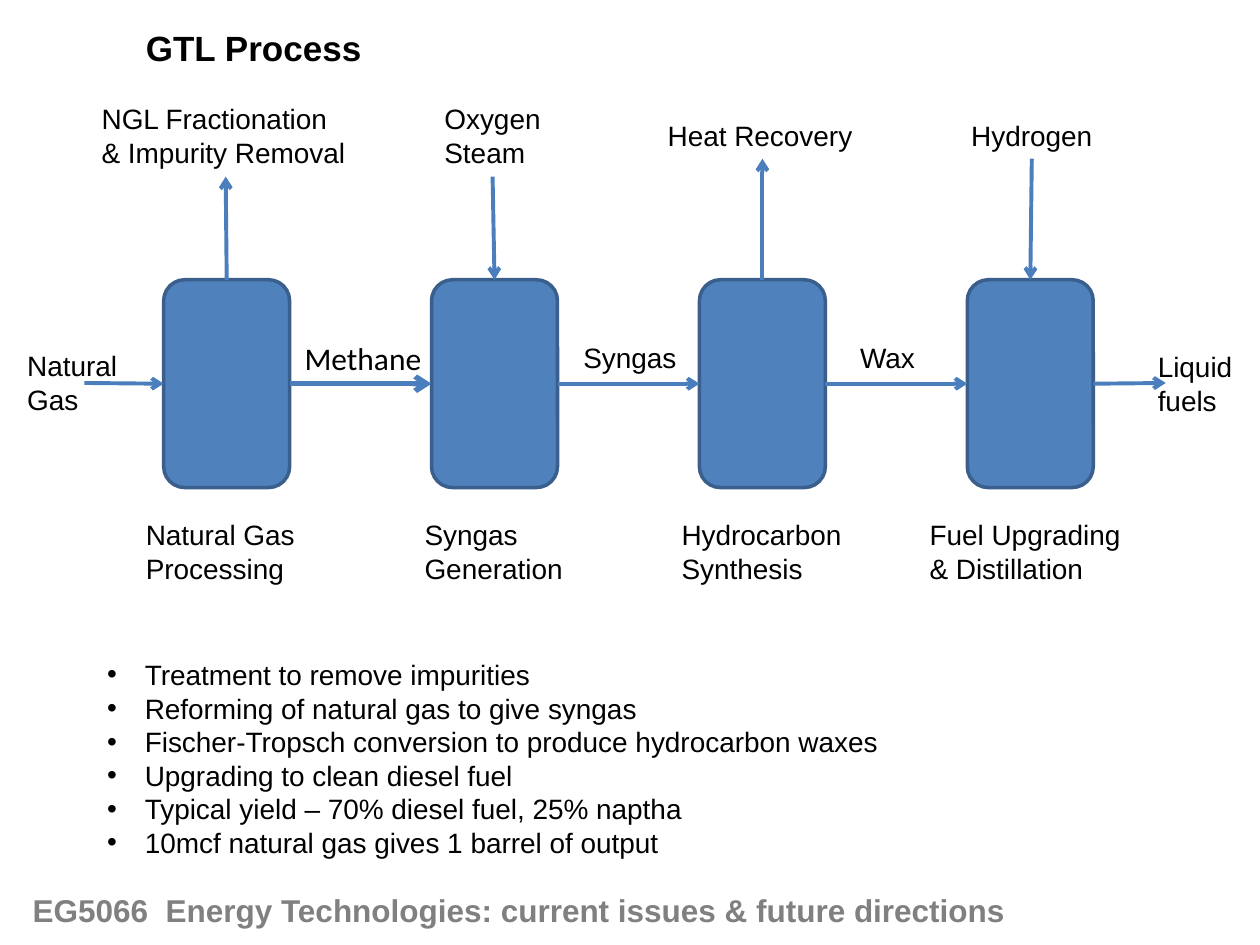
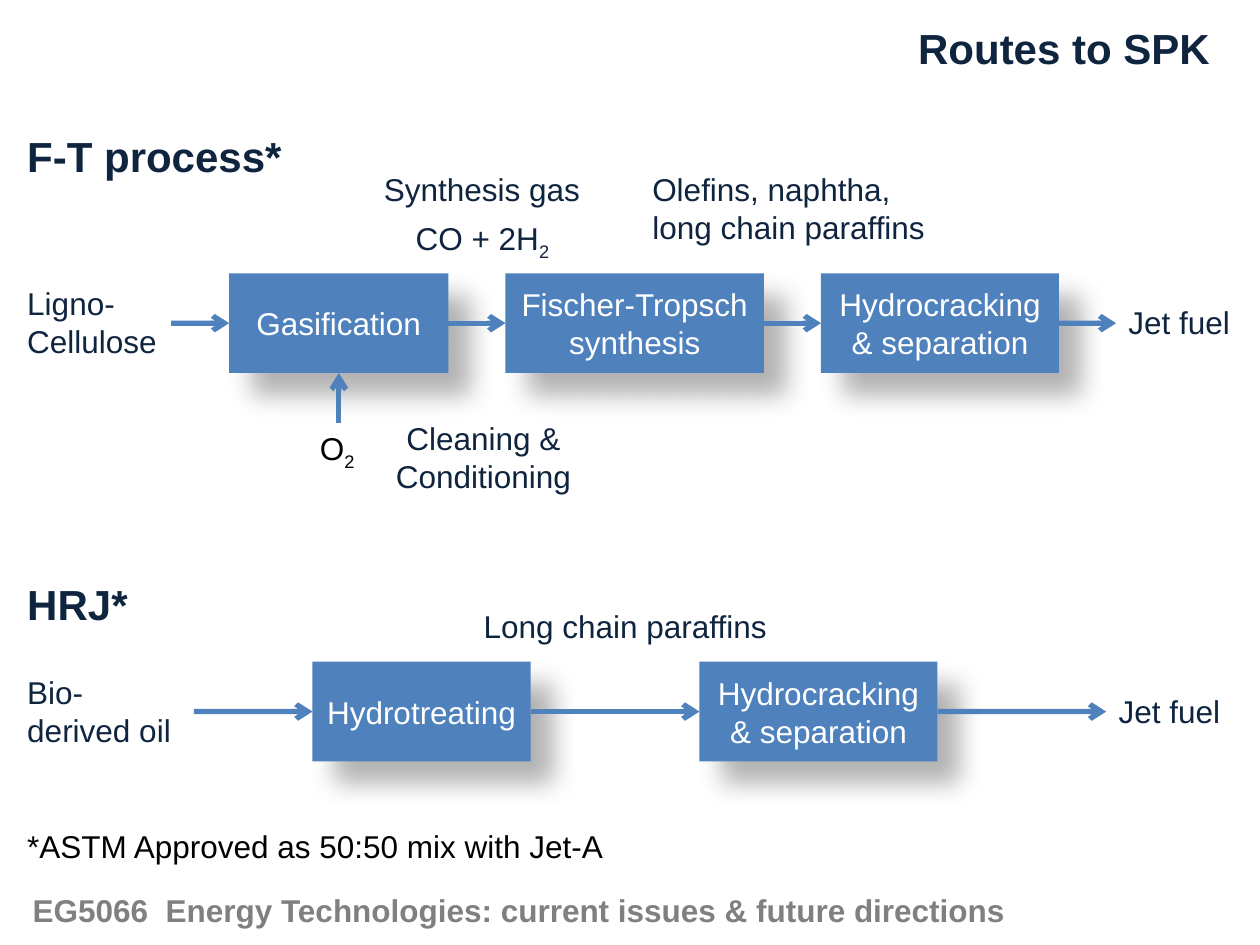
from dataclasses import dataclass
from lxml.etree import SubElement
from pptx import Presentation
from pptx.dml.color import RGBColor
from pptx.enum.shapes import MSO_CONNECTOR, MSO_SHAPE
from pptx.enum.text import MSO_ANCHOR, MSO_AUTO_SIZE, PP_ALIGN
from pptx.oxml.ns import qn
from pptx.util import Cm, Pt


@dataclass(frozen=True)
class Theme:
    # Colours
    black: str = "000000"
    navy: str = "0F243E"
    grey: str = "808080"
    white: str = "FFFFFF"
    blue: str = "4F81BD"
    edge: str = "3A5F8C"
    link: str = "4B7EBC"
    # Type
    font: str = "Arial"
    alt: str = "Calibri"
    small: int = 16
    body: int = 18
    title: int = 20
    head: int = 24


T = Theme()
TOP, LEFT, BOTTOM, RIGHT = range(4)


# Text
def write(para, text, size, color, bold=False, font=T.font):
    """Add text run by run; the parts after an underscore are subscripts."""
    for i, part in enumerate(text.split("_")):
        run = para.add_run()
        run.text = part
        run.font.size = Pt(size)
        run.font.name = font
        run.font.bold = bold
        run.font.color.rgb = RGBColor.from_string(color)
        if i % 2:
            run._r.get_or_add_rPr().set("baseline", "-25000")


def bullet(para):
    props = para._p.get_or_add_pPr()
    props.set("marL", str(Cm(0.76)))
    props.set("indent", str(-Cm(0.76)))
    SubElement(props, qn("a:buFont")).set("typeface", T.font)
    SubElement(props, qn("a:buChar")).set("char", "•")


def label(slide, x, y, wide, lines, size=T.body, color=T.navy, bold=False,
          font=T.font, wrap=0, align=PP_ALIGN.LEFT, dots=False):
    """Place a text box; wrap is the line count of a box that wraps."""
    rows = wrap or len(lines)
    high = rows * size * 0.0423 + 0.25
    box = slide.shapes.add_textbox(Cm(x), Cm(y), Cm(wide), Cm(high))
    frame = box.text_frame
    frame.word_wrap = bool(wrap)
    frame.auto_size = MSO_AUTO_SIZE.SHAPE_TO_FIT_TEXT
    for i, line in enumerate(lines):
        para = frame.add_paragraph() if i else frame.paragraphs[0]
        para.alignment = align
        if dots:
            bullet(para)
        write(para, line, size, color, bold, font)


def footer(slide):
    label(slide, 0.41, 17.83, 21.82,
          ["EG5066  Energy Technologies: current issues & future directions"],
          color=T.grey, bold=True, wrap=1)


# Shapes
def block(slide, kind, x, y, wide, high):
    shape = slide.shapes.add_shape(kind, Cm(x), Cm(y), Cm(wide), Cm(high))
    shape.shadow.inherit = False
    shape.fill.solid()
    shape.fill.fore_color.rgb = RGBColor.from_string(T.blue)
    return shape


def vessel(slide, x):
    shape = block(slide, MSO_SHAPE.ROUNDED_RECTANGLE, x, 5.64, 2.54, 4.19)
    shape.line.color.rgb = RGBColor.from_string(T.edge)
    shape.line.width = Pt(2)
    return shape


def step(slide, x, y, wide, text):
    shape = block(slide, MSO_SHAPE.RECTANGLE, x, y, wide, 2.01)
    shape.line.fill.background()
    # Soft shadow to the lower right
    glow = SubElement(shape._element.spPr.find(qn("a:effectLst")),
                      qn("a:outerShdw"), blurRad=str(Pt(15)),
                      dist=str(Pt(18)), dir="2700000", algn="ctr",
                      rotWithShape="0")
    tint = SubElement(glow, qn("a:srgbClr"), val=T.black)
    SubElement(tint, qn("a:alpha"), val="30000")
    frame = shape.text_frame
    frame.word_wrap = True
    frame.vertical_anchor = MSO_ANCHOR.MIDDLE
    frame.paragraphs[0].alignment = PP_ALIGN.CENTER
    write(frame.paragraphs[0], text, T.body, T.white)
    return shape


def arrow(slide, start, end, color=T.blue, width=3):
    """Draw an arrow; each end is a point (x, y) or a joint (shape, side)."""
    line = slide.shapes.add_connector(MSO_CONNECTOR.STRAIGHT, 0, 0, 0, 0)
    if isinstance(start[0], (int, float)):
        line.begin_x, line.begin_y = map(Cm, start)
    else:
        line.begin_connect(*start)
    if isinstance(end[0], (int, float)):
        line.end_x, line.end_y = map(Cm, end)
    else:
        line.end_connect(*end)
    line.line.color.rgb = RGBColor.from_string(color)
    line.line.width = Pt(width)
    SubElement(line.line._get_or_add_ln(), qn("a:tailEnd"), type="arrow")
    SubElement(line._element.spPr, qn("a:effectLst"))


def chain(slide, start, x, y, gap, steps):
    """Lay out steps at equal gaps, with arrows in, between and out."""
    mid = y + 1.005
    shapes, last = [], (start, mid)
    for wide, text in steps:
        shape = step(slide, x, y, wide, text)
        arrow(slide, last, (shape, LEFT))
        shapes.append(shape)
        last = (shape, RIGHT)
        x += wide + gap
    arrow(slide, last, (x, mid))
    return shapes


# Slides
def gtl(slide):
    label(slide, 2.69, 0.41, 4.9, ["GTL Process"], T.title, T.black, True)
    footer(slide)

    # Captions: left, top, width, lines
    notes = [
        (2.69, 10.31, 3.56, ["Natural Gas", "Processing"]),
        (8.31, 10.31, 3.33, ["Syngas", "Generation"]),
        (13.49, 10.31, 3.78, ["Hydrocarbon", "Synthesis"]),
        (18.49, 10.31, 4.39, ["Fuel Upgrading", "& Distillation"]),
        (0.3, 6.91, 2.34, ["Natural", "Gas"]),
        (11.51, 6.73, 2.41, ["Syngas"]),
        (17.09, 6.73, 1.63, ["Wax"]),
        (23.09, 6.93, 2.03, ["Liquid", "fuels"]),
        (19.33, 2.26, 2.97, ["Hydrogen"]),
        (13.21, 2.26, 4.29, ["Heat Recovery"]),
        (8.71, 1.93, 2.49, ["Oxygen", "Steam"]),
        (1.8, 1.93, 5.49, ["NGL Fractionation", "& Impurity Removal"]),
    ]
    for note in notes:
        label(slide, *note, T.small, T.black)
    label(slide, 5.89, 6.71, 2.9, ["Methane"], color=T.black, font=T.alt)

    # Vessels and the main flow
    tanks = [vessel(slide, 3.3 + 5.4 * i) for i in range(4)]
    for i, (a, b) in enumerate(zip(tanks, tanks[1:])):
        arrow(slide, (a, RIGHT), (b, LEFT), T.link, 2.25 if i else 3)
    arrow(slide, (tanks[3], RIGHT), (23.5, 7.72), T.link, 2.25)
    arrow(slide, (1.7, 7.72), (tanks[0], LEFT), T.link, 2.25)

    # Side streams: outer end, and whether it leaves the vessel
    sides = [(4.55, 3.56, True), (9.93, 3.56, False),
             (15.37, 3.2, True), (20.8, 3.2, False)]
    for tank, (x, y, out) in zip(tanks, sides):
        ends = [(tank, TOP), (x, y)]
        arrow(slide, *(ends if out else ends[::-1]), T.link, 2.25)

    label(slide, 1.91, 13.13, 16.18, [
        "Treatment to remove impurities",
        "Reforming of natural gas to give syngas",
        "Fischer-Tropsch conversion to produce hydrocarbon waxes",
        "Upgrading to clean diesel fuel",
        "Typical yield – 70% diesel fuel, 25% naptha",
        "10mcf natural gas gives 1 barrel of output",
    ], T.small, T.black, dots=True)


def routes(slide):
    # Title and route names
    for x, y, wide, text in [(18.26, 0.33, 6.45, "Routes to SPK"),
                             (0.3, 2.51, 5.69, "F-T process*"),
                             (0.3, 11.53, 2.57, "HRJ*")]:
        label(slide, x, y, wide, [text], T.head, bold=True)

    # Process chains
    last = "Hydrocracking & separation"
    first, *_ = chain(slide, 3.45, 4.62, 5.51, 1.15, [
        (4.42, "Gasification"), (5.21, "Fischer-Tropsch synthesis"),
        (4.8, last)])
    arrow(slide, (6.83, 8.53), (first, BOTTOM))
    chain(slide, 3.91, 6.3, 13.34, 3.4, [(4.4, "Hydrotreating"), (4.8, last)])

    # Feeds, streams and products
    for note in [
        (0.3, 5.61, 3.15, ["Ligno-", "Cellulose"]),
        (8.13, 4.29, 3.25, ["CO + 2H_2"]),
        (7.49, 3.3, 4.5, ["Synthesis gas"]),
        (22.5, 5.99, 2.59, ["Jet fuel"]),
        (9.5, 12.12, 6.27, ["Long chain paraffins"]),
        (22.3, 13.82, 2.59, ["Jet fuel"]),
    ]:
        label(slide, *note)
    label(slide, 7.65, 8.33, 4.19, ["Cleaning & Conditioning"], wrap=2,
          align=PP_ALIGN.CENTER)
    label(slide, 12.9, 3.3, 6.4, ["Olefins, naphtha, long chain paraffins"],
          wrap=2)
    label(slide, 0.3, 13.44, 3.61, ["Bio-derived oil"], wrap=2)
    label(slide, 6.2, 8.53, 1.24, ["O_2"], color=T.black)
    label(slide, 0.3, 16.54, 12.24,
          ["*ASTM Approved as 50:50 mix with Jet-A"], color=T.black)
    footer(slide)


def main():
    deck = Presentation()
    deck.slide_width, deck.slide_height = Cm(25.4), Cm(19.05)
    for draw in (gtl, routes):
        draw(deck.slides.add_slide(deck.slide_layouts[6]))
    deck.save("out.pptx")


if __name__ == "__main__":
    main()
